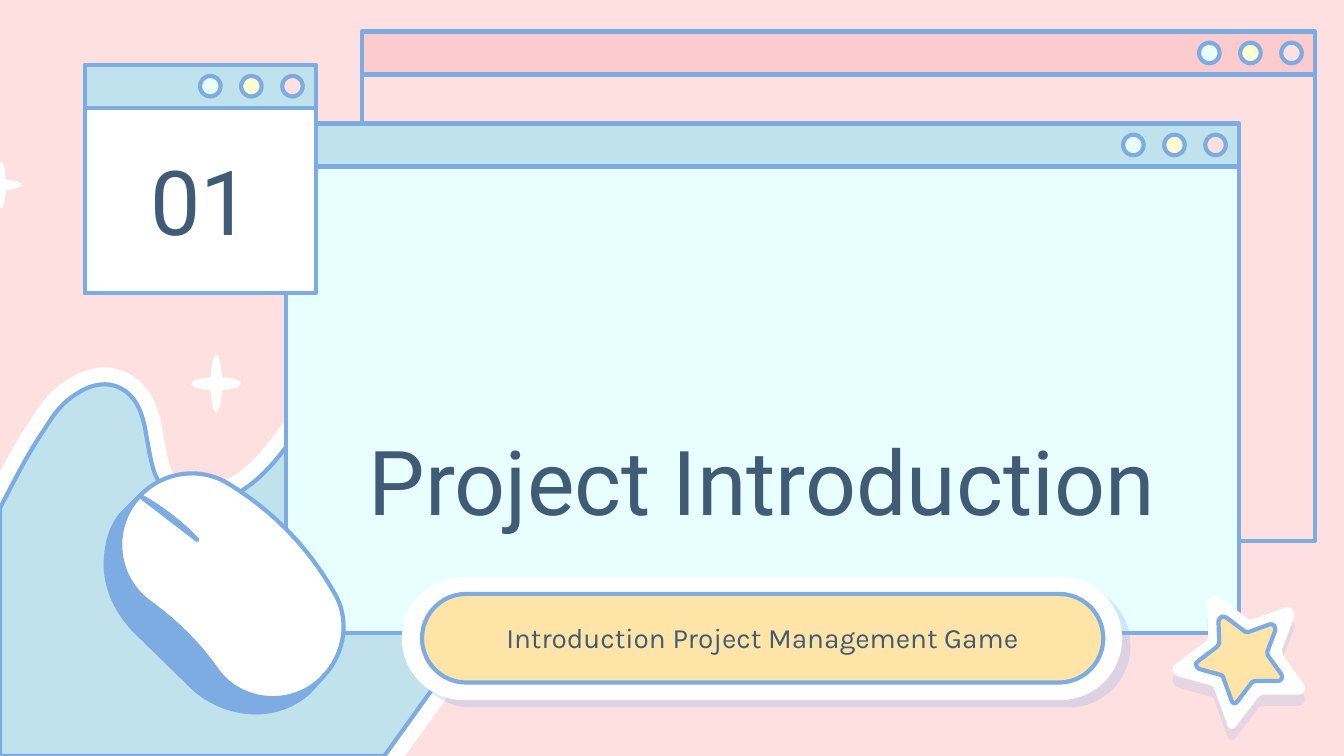
from dataclasses import dataclass
from lxml import etree
from pptx import Presentation
from pptx.dml.color import RGBColor
from pptx.enum.shapes import MSO_SHAPE
from pptx.enum.text import MSO_ANCHOR, PP_ALIGN
from pptx.oxml.ns import qn
from pptx.util import Pt

RECT, OVAL = MSO_SHAPE.RECTANGLE, MSO_SHAPE.OVAL
BAR, PILL = MSO_SHAPE.ROUND_2_SAME_RECTANGLE, MSO_SHAPE.ROUNDED_RECTANGLE
TOP, MIDDLE, BOTTOM = MSO_ANCHOR.TOP, MSO_ANCHOR.MIDDLE, MSO_ANCHOR.BOTTOM
CENTER = PP_ALIGN.CENTER


@dataclass(frozen=True)
class Theme:
    pink: str = "FFE0E1"
    rose: str = "FCCBCD"
    sky: str = "BFE2EC"
    ice: str = "E7FFFF"
    aqua: str = "BDFFFF"
    cream: str = "FFFDD1"
    gold: str = "FEE4A7"
    white: str = "FFFFFF"
    blue: str = "7CACE1"
    ink: str = "415A75"
    head: str = "Roboto"
    body: str = "Karla"
    big: int = 48
    small: int = 15
    stroke: float = 2.25


T = Theme()


def paint(shape, fill, line=None, width=T.stroke):
    """Set fill and line; None leaves either one off."""
    shape.shadow.inherit = False
    if fill:
        shape.fill.solid()
        shape.fill.fore_color.rgb = RGBColor.from_string(fill)
    else:
        shape.fill.background()
    if line:
        shape.line.color.rgb = RGBColor.from_string(line)
        shape.line.width = Pt(width)
    else:
        shape.line.fill.background()
    return shape


def draw(path, fill, line=None, width=T.stroke, close=True):
    """Outline from points (x, y) and Bezier steps (x1, y1, x2, y2, x, y)."""
    points = [(Pt(step[i]), Pt(step[i + 1]))
              for step in path for i in range(0, len(step), 2)]
    pen = shapes.build_freeform(*points[0])
    pen.add_line_segments(points[1:], close=close)
    shape = pen.convert_to_shape()
    # Join the three points of each Bezier step into one curve
    track = shape._element.spPr.find(".//" + qn("a:path"))
    legs = iter(track.findall(qn("a:lnTo")))
    for step in path[1:]:
        leg = next(legs)
        if len(step) == 6:
            leg.addprevious(curve := etree.Element(qn("a:cubicBezTo")))
            for part in (leg, next(legs), next(legs)):
                curve.append(part[0])
                track.remove(part)
    return paint(shape, fill, line, width)


deck = Presentation()
deck.slide_width, deck.slide_height = Pt(720), Pt(405)
slide = deck.slides.add_slide(deck.slide_layouts[6])
shapes = slide.shapes
slide.background.fill.solid()
slide.background.fill.fore_color.rgb = RGBColor.from_string(T.pink)

# Hill with a wide white edge
hill = [
    (239.8, 177.8), (218.9, 177.8, 198, 187.2, 182.9, 201.6),
    (164.2, 219.6, 153.4, 246.2, 131.8, 261.4),
    (124.6, 266.4, 115.2, 270, 106.6, 270),
    (100.1, 270, 93.6, 267.8, 88.6, 262.8),
    (81.4, 255.6, 80.6, 244.1, 78.5, 234),
    (77, 223.9, 74.2, 213.1, 64.8, 208.1),
    (61.9, 206.6, 59, 205.9, 56.2, 205.9),
    (50.4, 205.9, 45.4, 208.1, 41, 211),
    (33.8, 215.3, 28.8, 221.8, 24.5, 229),
    (15.1, 242.6, 7.9, 257, 0, 272.2), (0, 405), (205.9, 405),
    (231.1, 370.1, 256.3, 334.8, 280.8, 298.8),
    (292.3, 282.2, 303.8, 265, 306, 245.5),
    (308.2, 217.4, 288, 190.1, 260.6, 181.4),
    (254.2, 179.3, 247, 177.8, 239.8, 177.8),
]
draw(hill, T.sky, T.white, 18)
draw(hill, T.sky, T.blue)

# Sparkles: one quarter turned four times (centre and half size)
for cx, cy, w, h in [(0.7, 99, 11, 12.6), (115.9, 205.6, 13.6, 15.5)]:
    path = [(cx, cy - h)]
    arms = [[(0.1, -1), (0.22, -0.6), (0.22, -0.22)],
            [(0.6, -0.22), (1, -0.1), (1, 0)]]
    for turn in range(4):
        for arm in arms:
            path.append(tuple(n for x, y in arm
                              for n in (cx + x * w, cy + y * h)))
        arms = [[(-y, x) for x, y in arm] for arm in arms]
    draw(path, T.white)

# Windows: body, title bar, three buttons
for x, y, w, h, body, bar in [
    (193.9, 16.9, 510.5, 250, T.pink, T.rose),
    (153.2, 66.2, 510.5, 250, T.ice, T.sky),
    (45.4, 34.7, 123.8, 99.4, T.white, T.sky),
]:
    paint(shapes.add_shape(RECT, Pt(x), Pt(y + 23), Pt(w), Pt(h)), body, T.blue)
    strip = shapes.add_shape(BAR, Pt(x), Pt(y), Pt(w), Pt(23))
    strip.adjustments[0] = 0
    paint(strip, bar, T.blue)
    for i, tint in enumerate([T.ice, T.cream, T.pink]):
        knob = shapes.add_shape(OVAL, Pt(x + w - 62 + 22 * i), Pt(y + 6),
                                Pt(11), Pt(11))
        paint(knob, tint, T.blue)

# Subtitle pill
pills = []
for x, y, w, h, fill, line in [
    (215.3, 308.9, 385.9, 66.2, T.white, None),
    (226.1, 318.2, 365, 47.5, T.gold, T.blue),
]:
    pill = shapes.add_shape(PILL, Pt(x), Pt(y), Pt(w), Pt(h))
    pill.adjustments[0] = 0.5
    pills.append(paint(pill, fill, line))

# Texts
for x, y, w, h, words, font, size, anchor, gap in [
    (172.1, 103.4, 472.3, 189.4, "Project Introduction",
     T.head, T.big, BOTTOM, 0),
    (69.1, 70.6, 77, 72.7, "01", T.head, T.big, MIDDLE, 10),
    (236, 325, 344.9, 33.8, "Introduction Project Management Game",
     T.body, T.small, TOP, 0),
]:
    frame = shapes.add_textbox(Pt(x), Pt(y), Pt(w), Pt(h)).text_frame
    frame.word_wrap = True
    frame.vertical_anchor = anchor
    frame.margin_left = frame.margin_right = Pt(7.2)
    frame.margin_top = frame.margin_bottom = Pt(7.2)
    frame.text = words
    para = frame.paragraphs[0]
    para.alignment = CENTER
    para.space_before = Pt(gap)
    style = para.runs[0].font
    style.name, style.size = font, Pt(size)
    style.color.rgb = RGBColor.from_string(T.ink)

# Computer mouse: side, top, slit
side = [
    (75.6, 265), (173.5, 362.2), (165.6, 370.8),
    (158.4, 377.3, 149.8, 380.9, 139.7, 381.6),
    (125.3, 382.3, 110.9, 376.6, 100.8, 365.8), (72, 337.7),
    (61.9, 326.9, 55.4, 313.2, 56.9, 298.1),
    (57.6, 288.7, 60.5, 279.4, 67.7, 272.9),
]
shell = [
    (75.6, 265), (87.8, 252.7, 107.3, 249.8, 122.4, 259.2),
    (144.7, 272.9, 164.2, 291.6, 178.6, 316.8),
    (187.9, 331.2, 185, 350.6, 172.8, 362.9),
    (157, 379.4, 128.9, 377.3, 115.9, 358.6),
    (105.8, 344.2, 93.6, 332.6, 79.9, 322.6),
    (61.2, 308.9, 59, 281.5, 75.6, 265),
]
slit = [(74.9, 265.7), (74.9, 265.7, 90.7, 273.6, 105.8, 289.4)]
draw(side, T.blue, T.blue)
draw(shell, T.white, T.blue)
draw(slit, T.aqua, T.blue)
draw(slit, None, T.blue, close=False)

# Star, and a smaller one inside it
star = [
    (649.4, 319), (650.2, 319, 651.6, 319, 653, 319.7),
    (668.2, 331.2), (668.9, 331.9, 670.3, 331.9, 671, 331.9),
    (689, 325.4), (691.9, 324.7, 694.1, 327.6, 693.4, 330.5),
    (686.9, 347.8), (686.9, 349.2, 686.9, 350.6, 687.6, 351.4),
    (698.4, 366.5), (700, 369, 698.5, 372.2, 695.5, 372.2),
    (676.8, 372.2), (675.5, 372.2, 674.5, 373, 673.9, 373.7),
    (662.4, 388.8), (661, 391.5, 657.9, 391, 657.4, 388.1),
    (650.9, 370.1), (650.9, 368.6, 650.2, 367.9, 648.7, 367.2),
    (630.7, 362.2), (627.8, 360.7, 627.1, 357.1, 630, 355.7),
    (645.1, 344.2), (646.6, 343.4, 646.6, 342.7, 647.3, 341.3),
    (646.6, 322.6), (647.3, 321.1, 648, 319.7, 649.4, 319),
]
mid = (664.2, 351.4)
core = [tuple(mid[i % 2] + 0.65 * (n - mid[i % 2]) for i, n in enumerate(step))
        for step in star]
rim = draw(star, T.white)
draw(core, T.gold, T.blue)

# Hard shadows: angle in degrees, opacity in percent
for shape, angle, alpha in [(pills[0], 41, 25), (rim, 90, 19)]:
    effect = shape._element.spPr.find(qn("a:effectLst"))
    shade = etree.SubElement(effect, qn("a:outerShdw"), blurRad="0",
                             dist=str(Pt(6)), dir=str(angle * 60000),
                             algn="bl", rotWithShape="0")
    tint = etree.SubElement(shade, qn("a:srgbClr"), val=T.blue)
    etree.SubElement(tint, qn("a:alpha"), val=str(alpha * 1000))

deck.save("out.pptx")
